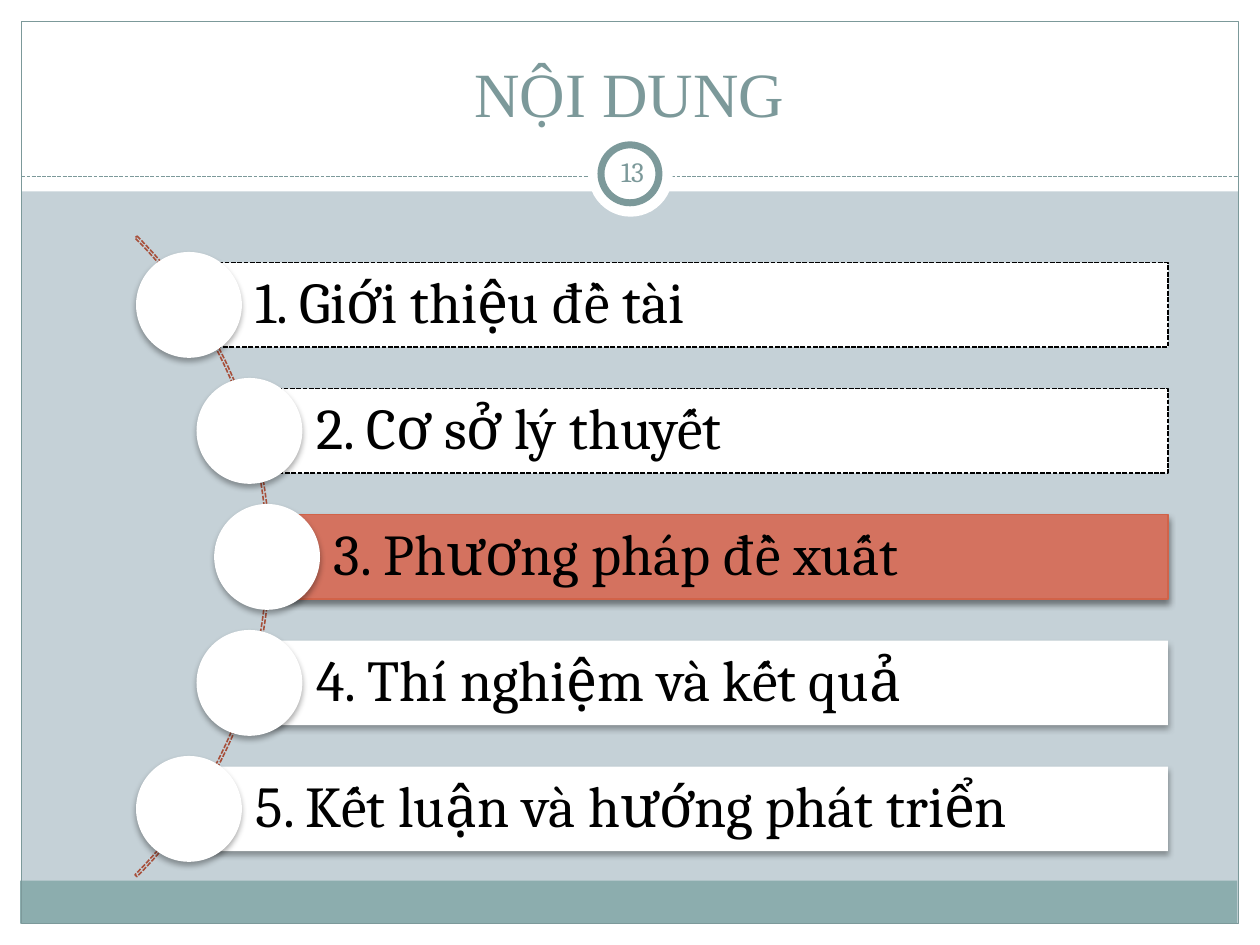
from lxml.etree import SubElement
from pptx import Presentation
from pptx.dml.color import RGBColor
from pptx.enum.dml import MSO_LINE
from pptx.enum.shapes import MSO_CONNECTOR, MSO_SHAPE
from pptx.enum.text import MSO_ANCHOR, PP_ALIGN
from pptx.oxml.ns import qn
from pptx.util import Inches, Pt

COLORS = {
    "background": "C5D1D7",
    "white": "FFFFFF",
    "black": "000000",
    "teal": "7C999A",
    "footer": "8CADAE",
    "arc": "A74F3A",
    "highlight": "D4725F",
    "highlight_line": "D16349",
}

# Each topic: text, circle left edge, bar style
TOPICS = [
    ("1. Giới thiệu đề tài", 1.08, "dashed"),
    ("2. Cơ sở lý thuyết", 1.56, "dashed"),
    ("3. Phương pháp đề xuất", 1.7, "highlight"),
    ("4. Thí nghiệm và kết quả", 1.56, "plain"),
    ("5. Kết luận và hướng phát triển", 1.08, "plain"),
]
CIRCLE_SIZE = 0.84
BAR_HEIGHT = 0.67
BAR_RIGHT = 9.27
FIRST_CENTER = 2.42
TOPIC_PITCH = 1.0


def rgb(name):
    return RGBColor.from_string(COLORS[name])


def set_line(line, color, width, dashed=False):
    line.color.rgb = rgb(color)
    line.width = Pt(width)
    if dashed:
        line.dash_style = MSO_LINE.SQUARE_DOT


def add_shape(slide, kind, left, top, width, height, fill=None):
    shape = slide.shapes.add_shape(
        kind, Inches(left), Inches(top), Inches(width), Inches(height))
    shape.shadow.inherit = False
    if fill:
        shape.fill.solid()
        shape.fill.fore_color.rgb = rgb(fill)
    else:
        shape.fill.background()
    shape.line.fill.background()
    return shape


def add_shadow(shape, opacity=32, blur=3.5, distance=2.2):
    effects = shape._element.spPr.find(qn("a:effectLst"))
    shadow = SubElement(
        effects, qn("a:outerShdw"), blurRad=str(Pt(blur)),
        dist=str(Pt(distance)), dir="5400000", rotWithShape="0")
    color = SubElement(shadow, qn("a:srgbClr"), val=COLORS["black"])
    SubElement(color, qn("a:alpha"), val=str(opacity * 1000))


def set_text(shape, text, size, font, color, alignment, anchor, insets):
    frame = shape.text_frame
    frame.word_wrap = True
    frame.vertical_anchor = anchor
    (frame.margin_left, frame.margin_top,
     frame.margin_right, frame.margin_bottom) = map(Inches, insets)
    frame.text = text
    paragraph = frame.paragraphs[0]
    paragraph.alignment = alignment
    run_font = paragraph.runs[0].font
    run_font.size = Pt(size)
    run_font.name = font
    run_font.color.rgb = rgb(color)
    return paragraph


def add_label(slide, left, top, width, height, *text_format):
    box = slide.shapes.add_textbox(
        Inches(left), Inches(top), Inches(width), Inches(height))
    set_text(box, *text_format)


def add_frame(slide):
    # White margins and header, teal footer, thin border
    for left, top, width, height, fill in [
        (0, 7.33, 10, 0.17, "white"),
        (0, 0, 10, 1.52, "white"),
        (0, 0, 0.17, 7.5, "white"),
        (9.83, 0, 0.17, 7.5, "white"),
        (0.16, 6.99, 9.66, 0.34, "footer"),
    ]:
        add_shape(slide, MSO_SHAPE.RECTANGLE, left, top, width, height, fill)
    border = add_shape(slide, MSO_SHAPE.RECTANGLE, 0.17, 0.17, 9.66, 7.16)
    set_line(border.line, "teal", 0.75)

    # Dashed rule below the title
    rule = slide.shapes.add_connector(
        MSO_CONNECTOR.STRAIGHT, Inches(0.17), Inches(1.4), Inches(9.83), Inches(1.4))
    set_line(rule.line, "teal", 0.75, dashed=True)
    SubElement(rule._element.spPr, qn("a:effectLst"))

    # Ring for the slide number
    add_shape(slide, MSO_SHAPE.OVAL, 4.67, 1.05, 0.67, 0.67, "white")
    ring = add_shape(slide, MSO_SHAPE.OVAL, 4.77, 1.15, 0.46, 0.46, "white")
    set_line(ring.line, "teal", 4)


def add_arc(slide):
    arc = add_shape(slide, MSO_SHAPE.BLOCK_ARC, -5.05, 0.82, 7.19, 7.19)
    for index, value in enumerate((189, 27, 0.003)):
        arc.adjustments[index] = value
    set_line(arc.line, "arc", 0.9, dashed=True)


def add_topic(slide, text, circle_left, style, center):
    # The bar starts at the middle of its circle
    bar_left = circle_left + CIRCLE_SIZE / 2
    bar = add_shape(
        slide, MSO_SHAPE.RECTANGLE, bar_left, center - BAR_HEIGHT / 2,
        BAR_RIGHT - bar_left, BAR_HEIGHT,
        "highlight" if style == "highlight" else "white")
    if style == "dashed":
        set_line(bar.line, "black", 0.9, dashed=True)
    elif style == "highlight":
        set_line(bar.line, "highlight_line", 0.75)
        add_shadow(bar, 45, 4, 2)
    else:
        add_shadow(bar)
    paragraph = set_text(
        bar, text, 33, "Cambria", "black", PP_ALIGN.LEFT,
        MSO_ANCHOR.MIDDLE, (0.53, 0.09, 0.09, 0.09))
    paragraph.line_spacing = 0.9

    circle = add_shape(
        slide, MSO_SHAPE.OVAL, circle_left, center - CIRCLE_SIZE / 2,
        CIRCLE_SIZE, CIRCLE_SIZE, "white")
    add_shadow(circle)


def main():
    presentation = Presentation()
    presentation.slide_width = Inches(10)
    presentation.slide_height = Inches(7.5)
    slide = presentation.slides.add_slide(presentation.slide_layouts[6])
    slide.background.fill.solid()
    slide.background.fill.fore_color.rgb = rgb("background")

    add_frame(slide)
    add_label(slide, 0.33, 0.25, 9.33, 0.83, "NỘI DUNG", 36, "Times New Roman",
              "teal", PP_ALIGN.CENTER, MSO_ANCHOR.BOTTOM, (0.1, 0.05, 0.1, 0.05))

    # Topic list along the arc
    add_arc(slide)
    for index, (text, circle_left, style) in enumerate(TOPICS):
        add_topic(slide, text, circle_left, style, FIRST_CENTER + index * TOPIC_PITCH)

    # Slide number
    add_label(slide, 4.77, 1.12, 0.5, 0.48, "13", 16, "Cambria", "teal",
              PP_ALIGN.CENTER, MSO_ANCHOR.MIDDLE, (0.05, 0.05, 0.05, 0.05))

    presentation.save("out.pptx")


if __name__ == "__main__":
    main()
